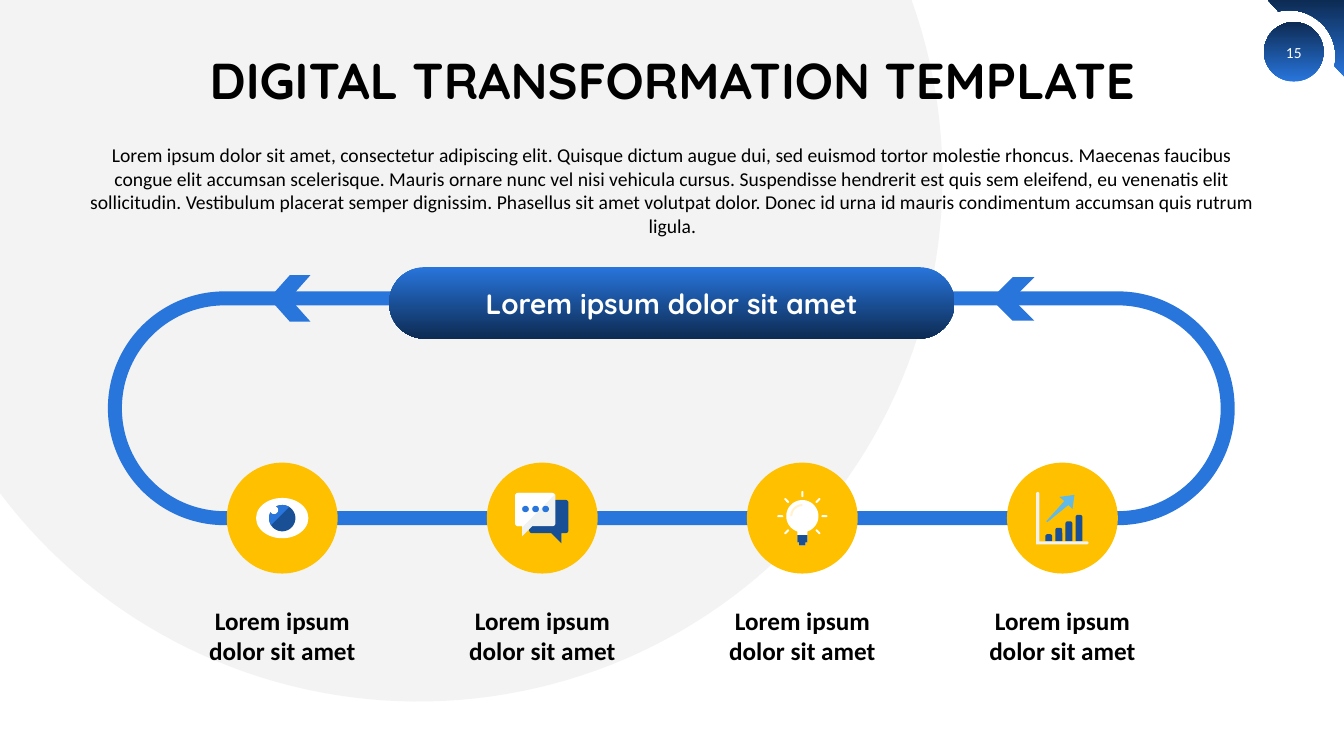
from math import cos, radians, sin

from lxml.etree import SubElement
from pptx import Presentation
from pptx.dml.color import RGBColor
from pptx.enum.shapes import MSO_SHAPE as SHAPE
from pptx.enum.text import MSO_ANCHOR as ANCHOR, PP_ALIGN as ALIGN
from pptx.oxml.ns import qn
from pptx.util import Pt

TITLE = "DIGITAL TRANSFORMATION TEMPLATE"
INTRO = (
    "Lorem ipsum dolor sit amet, consectetur adipiscing elit. Quisque dictum augue dui, "
    "sed euismod tortor molestie rhoncus. Maecenas faucibus congue elit accumsan scelerisque. "
    "Mauris ornare nunc vel nisi vehicula cursus. Suspendisse hendrerit est quis sem eleifend, "
    "eu venenatis elit sollicitudin. Vestibulum placerat semper dignissim. Phasellus sit amet "
    "volutpat dolor. Donec id urna id mauris condimentum accumsan quis rutrum ligula."
)
PAGE_NUMBER = "15"
GOAL = "Lorem ipsum dolor sit amet"
STEPS = ["Lorem ipsum dolor sit amet"] * 4

BLUE = RGBColor(0x28, 0x75, 0xDC)
NAVY = RGBColor(0x0D, 0x2B, 0x53)
DEEP = RGBColor(0x18, 0x4F, 0x95)
SKY = RGBColor(0x60, 0xB9, 0xE7)
AMBER = RGBColor(0xFF, 0xC0, 0x00)
CREAM = RGBColor(0xFF, 0xF2, 0xCC)
GREY = RGBColor(0xBF, 0xBF, 0xBF)
PALE = RGBColor(0xF0, 0xF1, 0xF1)
WHITE = RGBColor(0xFF, 0xFF, 0xFF)
BLACK = RGBColor(0, 0, 0)
DOWN, UP = 270, 90

STEP_X, STEP_Y, STEP_GAP, STEP_SIZE = 201.6, 370.1, 185.76, 79.2
LABEL_Y, LABEL_WIDTH, LABEL_HEIGHT = 432, 123.1, 43.9

deck = Presentation()
deck.slide_width, deck.slide_height = Pt(960), Pt(540)
slide = deck.slides.add_slide(deck.slide_layouts[6])


def paint(shape, color, angle=None):
    shape.shadow.inherit = False
    shape.line.fill.background()
    if angle is None:
        shape.fill.solid()
        shape.fill.fore_color.rgb = color
        return shape
    shape.fill.gradient()
    shape.fill.gradient_angle = angle
    for stop, shade in zip(shape.fill.gradient_stops, (color, NAVY)):
        stop.color.rgb = shade
    return shape


def preset(kind, left, top, width, height, color, angle=None):
    shape = slide.shapes.add_shape(kind, Pt(left), Pt(top), Pt(width), Pt(height))
    return paint(shape, color, angle)


def centred(kind, x, y, width, height, color):
    return preset(kind, x - width / 2, y - height / 2, width, height, color)


def outline(points, color, angle=None, origin=(0, 0)):
    spots = [((origin[0] + x) * 100, (origin[1] + y) * 100) for x, y in points]
    builder = slide.shapes.build_freeform(*spots[0], scale=Pt(1) / 100)
    builder.add_line_segments(spots[1:], close=True)
    return paint(builder.convert_to_shape(), color, angle)


def arc(x, y, radius, start, end, parts=16):
    turns = [radians(start + (end - start) * i / parts) for i in range(parts + 1)]
    return [(x + radius * cos(t), y + radius * sin(t)) for t in turns]


def write(shape, text, size, color, font="Calibri", bold=False):
    frame = shape.text_frame
    frame.word_wrap = True
    frame.vertical_anchor = ANCHOR.MIDDLE
    frame.margin_left = frame.margin_right = frame.margin_top = frame.margin_bottom = 0
    frame.text = text
    paragraph = frame.paragraphs[0]
    paragraph.alignment = ALIGN.CENTER
    style = paragraph.runs[0].font
    style.name, style.size, style.bold = font, Pt(size), bold
    style.color.rgb = color
    return paragraph


def text_box(left, top, width, height, *style, **extra):
    box = slide.shapes.add_textbox(Pt(left), Pt(top), Pt(width), Pt(height))
    return write(box, *style, **extra)


def draw_eye(x, y):
    centred(SHAPE.OVAL, x, y, 37.4, 28.8, WHITE)
    glint = arc(-5.8, -5.8, 3.1, 152, -62)
    outline(arc(0, 0, 9.4, -116, 206, 48) + glint, DEEP, origin=(x, y))
    lit_half = arc(0, 0, 9.4, 148, 206) + glint + arc(0, 0, 9.4, -116, -58)
    outline(lit_half, BLUE, origin=(x, y))


def bubble(left, top, right, bottom, tail):
    r = 2.2
    return (arc(left + r, bottom - r, r, 90, 180) + arc(left + r, top + r, r, 180, 270)
            + arc(right - r, top + r, r, 270, 360) + arc(right - r, bottom - r, r, 0, 90)
            + tail)


def draw_chat(x, y):
    reply = bubble(-9.4, -13, 18.7, 10.8, [(13.7, 10.8), (13.7, 18), (6.5, 10.8)])
    message = bubble(-19.4, -18, 9.4, 5.8, [(-7.2, 5.8), (-14.4, 13), (-14.4, 5.8)])
    outline(reply, DEEP, origin=(x, y))
    outline(message, PALE, origin=(x, y))
    lit_half = message[:34] + [(7.2, -18), (8.64, -16.6), (-14.4, 6.5), (-14.4, 5.8)]
    outline(lit_half, WHITE, origin=(x, y))
    for i in range(3):
        centred(SHAPE.OVAL, x - 12 + 7.2 * i, y - 6.5, 4.8, 4.6, BLUE)


def draw_bulb(x, y):
    foot = [(3.6, 17.3), (2.2, 17.3), (2.2, 19.4), (-2.2, 19.4), (-2.2, 17.3), (-3.6, 17.3)]
    outline(arc(0, -1.4, 11.5, 108, 432, 48) + foot, WHITE, origin=(x, y))
    for angle in (135, 180, 225, 270, 315, 0, 45):
        turn = radians(angle)
        ray = centred(SHAPE.ROUNDED_RECTANGLE, x + 15.8 * cos(turn),
                      y - 1.4 + 15.8 * sin(turn), 4.3, 1.4, WHITE)
        ray.adjustments[0] = 0.5
        ray.rotation = angle
    shine = arc(0, -1.4, 8.6, 180, 270) + arc(0, -1.4, 7.2, 270, 180)
    outline(shine, CREAM, origin=(x, y))
    outline([(-3.6, 12.2), (3.6, 12.2)] + foot, DEEP, origin=(x, y))


def draw_growth(x, y):
    for i in range(4):
        height = 5.1 + 4.6 * i
        bar = preset(SHAPE.ROUND_2_SAME_RECTANGLE, x - 12.2 + 7.2 * i, y + 16.6 - height,
                     4.9, height, DEEP)
        bar.adjustments[0] = 0.29
    axes = ([(-18.7, 18.7)] + arc(-17.6, -17.6, 1.1, 180, 360) + [(-16.5, 16.6)]
            + arc(17.6, 17.65, 1.05, -90, 90))
    outline(axes, PALE, origin=(x, y))
    arrow = [(7.2, -6.5), (8.6, -16.6), (-2.2, -15.1), (1.4, -12.2),
             (-11.5, 2.2), (-10.8, 2.9), (4.3, -9.4)]
    outline(arrow, SKY, origin=(x, y))


backdrop = outline([(0, 0)] + arc(298.8, 126.7, 374.4, -19.8, 143.1, 96), GREY)
backdrop_color = backdrop.fill._xPr.find(qn("a:solidFill"))[0]
SubElement(backdrop_color, qn("a:alpha")).set("val", "18000")

corner = [(960, 54.7), (960, 0), (905.7, 0), (913, 7.9)] + arc(920.9, 40.3, 33.1, -104, 12)
outline(corner, BLUE, UP)
preset(SHAPE.OVAL, 902.9, 15.8, 42.5, 42.5, BLUE, UP)
text_box(909.4, 23, 29.5, 28.8, PAGE_NUMBER, 11, WHITE)

heading = text_box(66.2, 28.8, 828, 61.9, TITLE, 36, BLACK, font="Quicksand", bold=True)
heading.line_spacing = 0.9
text_box(63.4, 110.2, 833.8, 51.1, INTRO, 14, BLACK)

track = preset(SHAPE.ROUNDED_RECTANGLE, 82.1, 213.1, 794.9, 157, WHITE)
track.adjustments[0] = 0.5
track.fill.background()
track.line.color.rgb = BLUE
track.line.width = Pt(10)

goal = preset(SHAPE.ROUNDED_RECTANGLE, 277.9, 190.8, 403.9, 51.1, BLUE, DOWN)
goal.adjustments[0] = 0.5
write(goal, GOAL, 20, WHITE, font="Quicksand", bold=True)

for left, top, width, height in ((192.2, 196.6, 29.5, 33.1), (707.8, 198, 31, 31)):
    preset(SHAPE.CHEVRON, left, top, width, height, BLUE).rotation = 180

for i, (label, draw_icon) in enumerate(
        zip(STEPS, (draw_eye, draw_chat, draw_bulb, draw_growth))):
    x = STEP_X + STEP_GAP * i
    centred(SHAPE.OVAL, x, STEP_Y, STEP_SIZE, STEP_SIZE, AMBER)
    draw_icon(x, STEP_Y)
    text_box(x - LABEL_WIDTH / 2, LABEL_Y, LABEL_WIDTH, LABEL_HEIGHT, label, 18, BLACK, bold=True)

deck.save("out.pptx")
